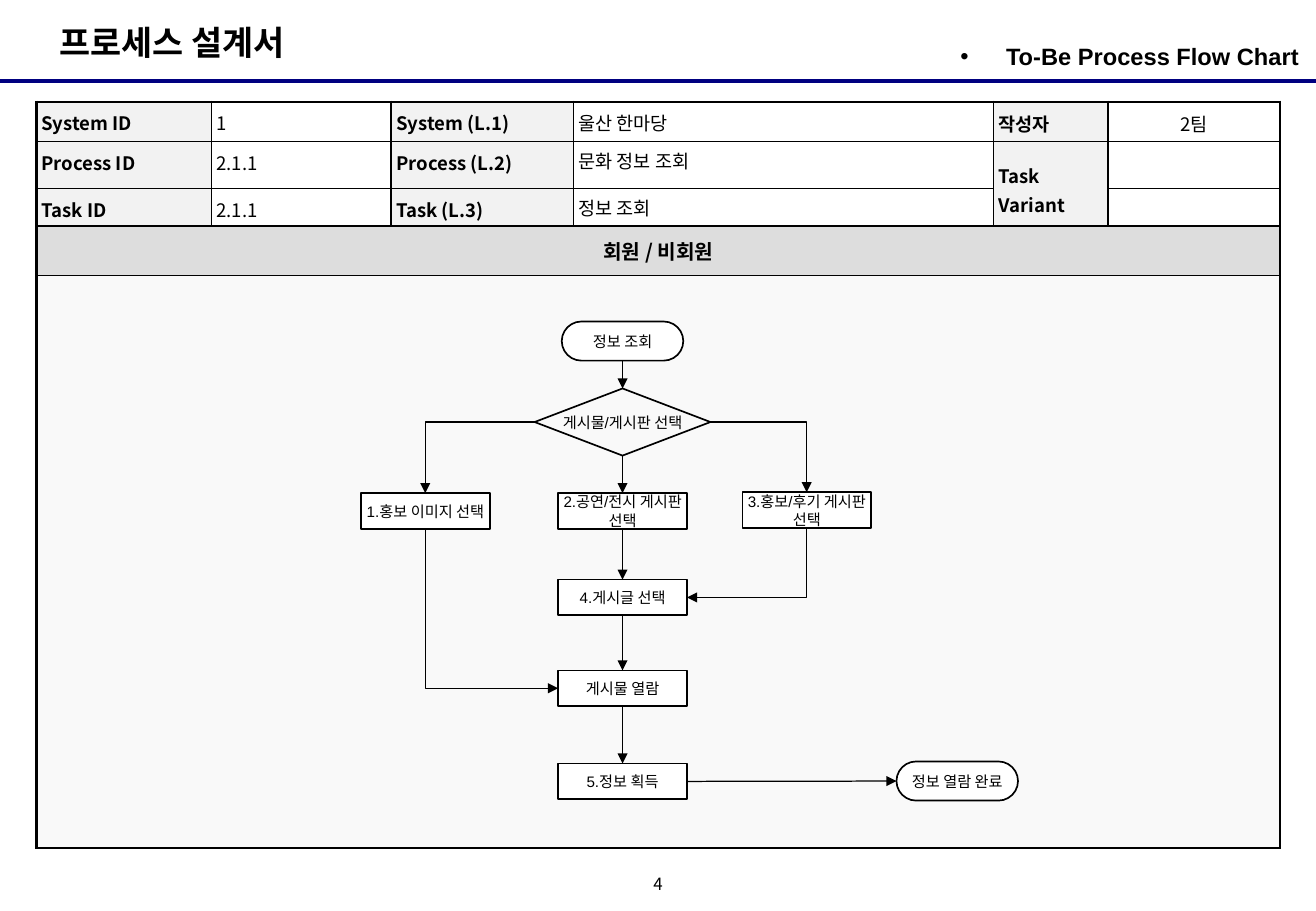
from dataclasses import dataclass

from pptx import Presentation
from pptx.dml.color import RGBColor
from pptx.enum.shapes import MSO_CONNECTOR, MSO_SHAPE
from pptx.enum.text import MSO_ANCHOR, MSO_AUTO_SIZE, PP_ALIGN
from pptx.oxml.ns import qn
from pptx.util import Pt

KOREAN = "Noto Sans CJK KR"
LATIN = "Arial"
BLACK, WHITE, NAVY = "000000", "FFFFFF", "000080"
LABEL_FILL, LANE_FILL, FLOW_FILL = "F2F2F2", "DDDDDD", "F9F9F9"
TOP, LEFT, BOTTOM, RIGHT = range(4)  # connection sites
TABLE_LEFT = 21.6
OUTER_BORDER = 1.5


@dataclass
class Node:
    text: str
    x: float  # centre
    y: float
    kind: str = "step"


@dataclass
class Flow:
    begin: str
    begin_site: int
    end: str
    end_site: int
    bent: bool = False
    arrow: str = "tailEnd"


# Outline and size of each kind of node
KINDS = {
    "terminal": (MSO_SHAPE.FLOWCHART_TERMINATOR, 72, 23.2),
    "decision": (MSO_SHAPE.FLOWCHART_DECISION, 104.2, 39.8),
    "step": (MSO_SHAPE.RECTANGLE, 76.4, 21.2),
}
MAIN, IMAGE_COLUMN, REVIEW_COLUMN = 369, 252.1, 478.2
NODES = {
    "start": Node("정보 조회", MAIN, 202.2, "terminal"),
    "choice": Node("게시물/게시판 선택", MAIN, 250.2, "decision"),
    "image": Node("1.홍보 이미지 선택", IMAGE_COLUMN, 302.9),
    "show": Node("2.공연/전시 게시판 선택", MAIN, 302.9),
    "review": Node("3.홍보/후기 게시판 선택", REVIEW_COLUMN, 302.4),
    "post": Node("4.게시글 선택", MAIN, 354.2),
    "view": Node("게시물 열람", MAIN, 408),
    "gain": Node("5.정보 획득", MAIN, 463.2),
    "finish": Node("정보 열람 완료", 567.4, 463, "terminal"),
}
# Bent flows leave their first node sideways
FLOWS = [
    *(Flow(upper, BOTTOM, lower, TOP) for upper, lower in [
        ("start", "choice"), ("choice", "show"), ("show", "post"),
        ("post", "view"), ("view", "gain")]),
    Flow("gain", RIGHT, "finish", LEFT),
    Flow("choice", LEFT, "image", TOP, bent=True),
    Flow("choice", RIGHT, "review", TOP, bent=True),
    Flow("view", LEFT, "image", BOTTOM, bent=True, arrow="headEnd"),
    Flow("post", RIGHT, "review", BOTTOM, bent=True, arrow="headEnd"),
]

PROCESS_ROWS = [
    ["System ID", "1", "System (L.1)", "울산 한마당", "작성자", "2팀"],
    ["Process ID", "2.1.1", "Process (L.2)", "문화 정보 조회", "Task Variant", ""],
    ["Task ID", "2.1.1", "Task (L.3)", "정보 조회", "", ""],
]
PROCESS_COLUMNS = [103.7, 106.6, 108, 249.1, 67.7, 102.2]
AUTHOR_COLUMN = 4


def rgb(color: str) -> RGBColor:
    return RGBColor.from_string(color)


def write(frame, text: str, size: float, font: str = KOREAN, bold: bool = False,
          align=PP_ALIGN.LEFT, spacing: float = 1) -> None:
    frame.text = text
    paragraph = frame.paragraphs[0]
    paragraph.alignment = align
    paragraph.space_before = Pt(0)
    paragraph.line_spacing = spacing
    for run in paragraph.runs:
        run.font.size, run.font.bold, run.font.name = Pt(size), bold, font
        run.font.color.rgb = rgb(BLACK)
        east_asian = run.font._element.makeelement(qn("a:ea"), {"typeface": KOREAN})
        run.font._element.find(qn("a:latin")).addnext(east_asian)


def set_margins(frame, side: float, end: float) -> None:
    frame.margin_left = frame.margin_right = Pt(side)
    frame.margin_top = frame.margin_bottom = Pt(end)


def place(shape, left: float, top: float, width: float, height: float) -> None:
    shape.left, shape.top = Pt(left), Pt(top)
    shape.width, shape.height = Pt(width), Pt(height)


def style_connector(connector, color: str, width: float) -> None:
    connector.line.color.rgb = rgb(color)
    connector.line.width = Pt(width)
    properties = connector.element.spPr
    properties.append(properties.makeelement(qn("a:effectLst"), {}))


def set_borders(cell, widths: dict[str, float]) -> None:
    properties = cell._tc.get_or_add_tcPr()
    for position, (side, width) in enumerate(widths.items()):
        edge = properties.makeelement(qn(f"a:ln{side}"), {"w": str(Pt(width))})
        fill = edge.makeelement(qn("a:solidFill"), {})
        fill.append(fill.makeelement(qn("a:srgbClr"), {"val": BLACK}))
        edge.append(fill)
        properties.insert(position, edge)


def add_grid(slide, top: float, columns: list[float], rows: list[float]):
    table = slide.shapes.add_table(len(rows), len(columns), Pt(TABLE_LEFT), Pt(top),
                                   Pt(sum(columns)), Pt(sum(rows))).table
    table.first_row = table.horz_banding = False
    for column, width in zip(table.columns, columns):
        column.width = Pt(width)
    for row, height in zip(table.rows, rows):
        row.height = Pt(height)
    return table


def frame_grid(table, inner: float) -> None:
    last_row, last_column = len(table.rows), len(table.columns)
    for r in range(last_row):
        for c in range(last_column):
            cell = table.cell(r, c)
            if cell.is_spanned:
                continue
            at_edge = {"L": c == 0, "R": c + cell.span_width == last_column,
                       "T": r == 0, "B": r + cell.span_height == last_row}
            set_borders(cell, {side: OUTER_BORDER if outer else inner
                               for side, outer in at_edge.items()})


def add_heading(slide) -> None:
    rule = slide.shapes.add_connector(MSO_CONNECTOR.STRAIGHT, 0, Pt(48.2), Pt(780), Pt(48.2))
    style_connector(rule, NAVY, 2.25)

    document_title, chart_title = slide.shapes.title, slide.placeholders[1]
    place(document_title, 28, 9.4, 163, 32)
    place(chart_title, 532, 21.2, 238, 28)
    for placeholder in (document_title, chart_title):
        placeholder.text_frame.vertical_anchor = MSO_ANCHOR.TOP
        placeholder.text_frame.auto_size = MSO_AUTO_SIZE.NONE
    document_title.text_frame.word_wrap = False
    write(document_title.text_frame, "프로세스 설계서", 20, bold=True)

    set_margins(chart_title.text_frame, 0, 3.6)
    chart_title.text_frame.text = ""
    properties = chart_title.text_frame.paragraphs[0]._p.get_or_add_pPr()
    properties.set("marL", "0")
    properties.set("indent", "0")
    properties.append(properties.makeelement(qn("a:buNone"), {}))
    write(chart_title.text_frame, "To-Be Process Flow Chart", 14, LATIN, True, PP_ALIGN.RIGHT)


def add_process_table(slide) -> None:
    table = add_grid(slide, 60.3, PROCESS_COLUMNS, [23.7] * len(PROCESS_ROWS))
    table.cell(1, AUTHOR_COLUMN).merge(table.cell(2, AUTHOR_COLUMN))
    for r, texts in enumerate(PROCESS_ROWS):
        for c, text in enumerate(texts):
            cell = table.cell(r, c)
            is_label = c % 2 == 0
            set_margins(cell, 2.9, 2.9)
            cell.vertical_anchor = MSO_ANCHOR.MIDDLE if c >= AUTHOR_COLUMN else MSO_ANCHOR.TOP
            cell.fill.solid()
            cell.fill.fore_color.rgb = rgb(LABEL_FILL if is_label else WHITE)
            if not cell.is_spanned:
                write(cell.text_frame, text, 11, bold=is_label,
                      align=PP_ALIGN.CENTER if c > AUTHOR_COLUMN else PP_ALIGN.LEFT,
                      spacing=1 if c == 3 and r > 0 else 1.1)
    frame_grid(table, 1)


def add_lane(slide) -> None:
    table = add_grid(slide, 134.2, [sum(PROCESS_COLUMNS)], [29.2, 339.2])
    for r, fill in enumerate([LANE_FILL, FLOW_FILL]):
        table.cell(r, 0).fill.solid()
        table.cell(r, 0).fill.fore_color.rgb = rgb(fill)
    header = table.cell(0, 0)
    header.vertical_anchor = MSO_ANCHOR.MIDDLE
    write(header.text_frame, "회원 / 비회원", 12, bold=True, align=PP_ALIGN.CENTER)
    frame_grid(table, 0.75)


def add_node(slide, node: Node):
    outline, width, height = KINDS[node.kind]
    shape = slide.shapes.add_shape(outline, Pt(node.x - width / 2), Pt(node.y - height / 2),
                                   Pt(width), Pt(height))
    shape.shadow.inherit = False
    if node.kind == "decision":
        shape.fill.background()
    else:
        shape.fill.solid()
        shape.fill.fore_color.rgb = rgb(WHITE)
    shape.line.color.rgb = rgb(BLACK)
    shape.line.width = Pt(1)
    set_margins(shape.text_frame, 1, 0)
    shape.text_frame.word_wrap = node.kind != "decision"
    shape.text_frame.vertical_anchor = MSO_ANCHOR.MIDDLE
    write(shape.text_frame, node.text, 9, LATIN, align=PP_ALIGN.CENTER)
    return shape


def add_flow(slide, flow: Flow, shapes: dict) -> None:
    kind = MSO_CONNECTOR.ELBOW if flow.bent else MSO_CONNECTOR.STRAIGHT
    connector = slide.shapes.add_connector(kind, 0, 0, 0, 0)
    connector.begin_connect(shapes[flow.begin], flow.begin_site)
    connector.end_connect(shapes[flow.end], flow.end_site)
    style_connector(connector, BLACK, 0.75)
    properties = connector.element.spPr
    if flow.bent:
        properties.find(qn("a:prstGeom")).set("prst", "bentConnector2")
    line = properties.find(qn("a:ln"))
    line.append(line.makeelement(qn(f"a:{flow.arrow}"), {"type": "triangle"}))


def add_page_number(slide) -> None:
    frame = slide.shapes.add_textbox(Pt(378), Pt(516.2), Pt(24), Pt(18)).text_frame
    set_margins(frame, 0, 0)
    frame.vertical_anchor = MSO_ANCHOR.MIDDLE
    frame.word_wrap = True
    write(frame, "4", 10, align=PP_ALIGN.CENTER, spacing=0.8)


def main() -> None:
    deck = Presentation()
    deck.slide_width, deck.slide_height = Pt(780), Pt(540)
    slide = deck.slides.add_slide(deck.slide_layouts[1])
    add_heading(slide)
    add_process_table(slide)
    add_lane(slide)
    shapes = {name: add_node(slide, node) for name, node in NODES.items()}
    for flow in FLOWS:
        add_flow(slide, flow, shapes)
    add_page_number(slide)
    deck.save("out.pptx")


if __name__ == "__main__":
    main()
